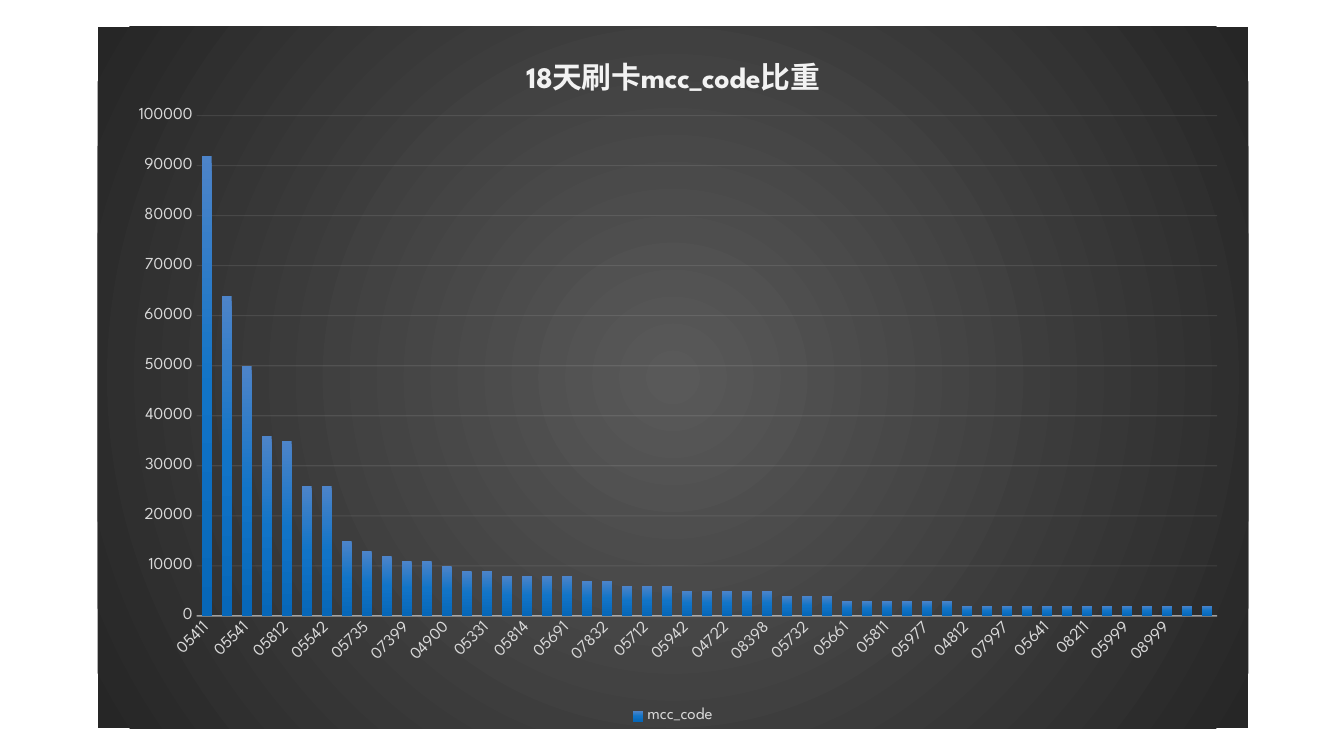
from lxml import etree
from pptx import Presentation
from pptx.chart.data import CategoryChartData as ChartData
from pptx.dml.color import RGBColor
from pptx.enum.chart import XL_CHART_TYPE as Kind, XL_LEGEND_POSITION as Place, XL_TICK_MARK as Tick
from pptx.oxml import parse_xml as to_xml
from pptx.oxml.ns import nsdecls, qn
from pptx.util import Cm, Pt

FACE = "League Spartan"
PALE, GREY = "F2F2F2", "D9D9D9"

CODES = """
05411 05311 05541 00020 05812 06300 05542 04784 05735 04112
07399 04814 04900 05499 05331 07011 05814 05912 05691 05399
07832 04121 05712 05621 05942 05965 04722 05941 08398 05309
05732 00017 05661 04899 05811 09399 05977 00023 04812 04011
07997 05699 05641 05963 08211 07538 05999 05462 08999 05045
""".split()

# Thousands of payments, each with the number of codes that share it
RUNS = [(92, 1), (64, 1), (50, 1), (36, 1), (35, 1), (26, 2), (15, 1), (13, 1),
        (12, 1), (11, 2), (10, 1), (9, 2), (8, 4), (7, 2), (6, 3), (5, 5),
        (4, 3), (3, 6), (2, 13)]
COUNTS = [size * 1000 for size, times in RUNS for _ in range(times)]


def color(text):
    return RGBColor.from_string(text)


def style(font, size, tone, bold=False):
    font.name, font.size, font.bold = FACE, Pt(size), bold
    font.color.rgb = color(tone)


def stroke(line, tone, width, alpha):
    """Draw a line with the given opacity in percent."""
    line.width = Pt(width)
    line.color.rgb = color(tone)
    for node in line.fill._xPr.iter(qn("a:srgbClr")):
        etree.SubElement(node, qn("a:alpha")).set("val", str(alpha * 1000))


def blend(stops, shade):
    """Return a gradient fill built from (percent, colour) stops."""
    marks = "".join(f'<a:gs pos="{pos * 1000}"><a:srgbClr val="{tone}"/></a:gs>'
                    for pos, tone in stops)
    return to_xml(f'<a:gradFill {nsdecls("a")} rotWithShape="1">'
                  f'<a:gsLst>{marks}</a:gsLst>{shade}</a:gradFill>')


def fill_back(chart):
    shade = ('<a:path path="circle">'
             '<a:fillToRect l="50000" t="50000" r="50000" b="50000"/></a:path>')
    props = to_xml(f'<c:spPr {nsdecls("c", "a")}><a:ln><a:noFill/></a:ln></c:spPr>')
    props.insert(0, blend([(0, "595959"), (100, "262626")], shade))
    chart._chartSpace.find(qn("c:chart")).addnext(props)


def set_plot(chart, left, top, width, height):
    """Place the inner plot area by fractions of the chart."""
    area = chart._chartSpace.find(".//" + qn("c:plotArea"))
    for old in area.findall(qn("c:layout")):
        area.remove(old)
    parts = [("layoutTarget", "inner"), ("xMode", "edge"), ("yMode", "edge"),
             ("x", left), ("y", top), ("w", width), ("h", height)]
    body = "".join(f'<c:{tag} val="{val}"/>' for tag, val in parts)
    area.insert(0, to_xml(f'<c:layout {nsdecls("c")}>'
                          f'<c:manualLayout>{body}</c:manualLayout></c:layout>'))


def set_title(chart, text):
    chart.has_title = True
    chart.chart_title.include_in_layout = False
    para = chart.chart_title.text_frame.paragraphs[0]
    para.text = text
    style(para.runs[0].font, 21.3, PALE, True)


def set_axes(chart):
    codes, counts = chart.category_axis, chart.value_axis
    for axis in (codes, counts):
        axis.major_tick_mark = axis.minor_tick_mark = Tick.NONE
        style(axis.tick_labels.font, 12, GREY)
    stroke(codes.format.line, PALE, 1, 54)
    codes._element.find(qn("c:txPr")).find(qn("a:bodyPr")).set("rot", "-2700000")
    counts.minimum_scale, counts.maximum_scale, counts.major_unit = 0, 100000, 10000
    counts.format.line.fill.background()
    counts.has_major_gridlines = True
    stroke(counts.major_gridlines.format.line, PALE, 0.75, 10)


def set_bars(plot):
    plot.gap_width, plot.overlap, plot.vary_by_categories = 100, -24, False
    bars = plot.series[0]
    bars.invert_if_negative = False
    stops = [(0, "4D84C9"), (50, "1174C7"), (100, "0767B8")]
    props = bars._element.get_or_add_spPr()
    props.insert(0, blend(stops, '<a:lin ang="5400000" scaled="0"/>'))


def set_key(chart):
    chart.has_legend = True
    chart.legend.position = Place.BOTTOM
    chart.legend.include_in_layout = False
    style(chart.legend.font, 12, GREY)


def add_bars(slide, left, top, width, height):
    data = ChartData()
    data.categories = CODES
    data.add_series("mcc_code", COUNTS)
    chart = slide.shapes.add_chart(Kind.COLUMN_CLUSTERED, left, top, width, height, data).chart
    style(chart.font, 10, "000000")
    fill_back(chart)
    set_title(chart, "18天刷卡mcc_code比重")
    set_plot(chart, 0.086, 0.127, 0.887, 0.713)
    set_axes(chart)
    set_bars(chart.plots[0])
    set_key(chart)


def main():
    deck = Presentation()
    deck.slide_width, deck.slide_height = Cm(33.87), Cm(19.05)
    slide = deck.slides.add_slide(deck.slide_layouts[6])
    add_bars(slide, Cm(2.46), Cm(0.67), Cm(29), Cm(17.68))
    deck.save("out.pptx")


if __name__ == "__main__":
    main()
